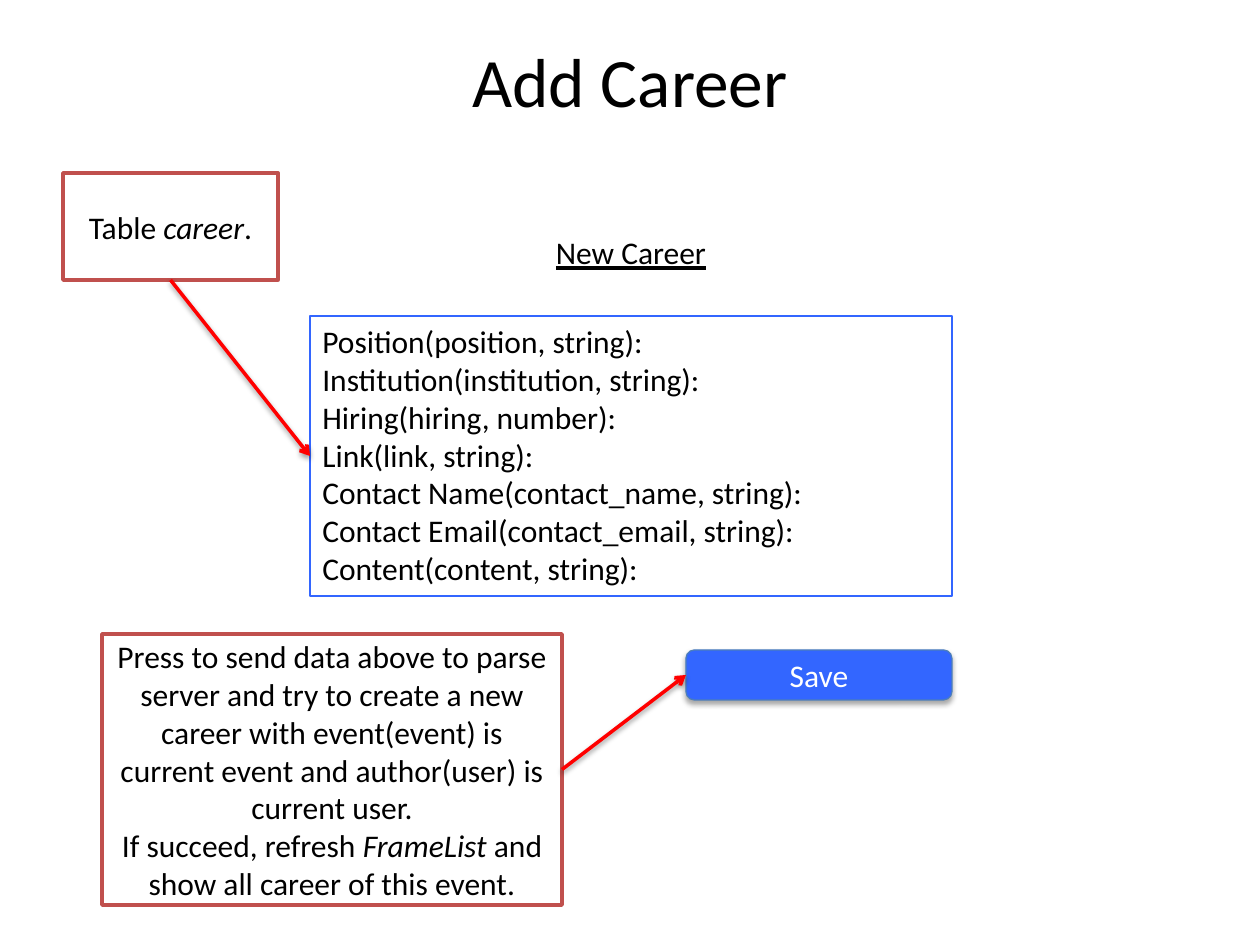
from lxml.etree import SubElement
from pptx import Presentation
from pptx.dml.color import RGBColor
from pptx.enum.shapes import MSO_CONNECTOR as LINK, MSO_SHAPE as SHAPE
from pptx.enum.text import MSO_ANCHOR as ANCHOR, PP_ALIGN as ALIGN
from pptx.oxml.ns import qn
from pptx.util import Emu, Pt

SCALE = 914400 / 126
FONT = "Calibri"
BLACK, WHITE, RED = "000000", "FFFFFF", "FF0000"
BLUE, BLUE_EDGE, NOTE_EDGE = "3366FF", "4B7EBC", "C0504D"
LEFT_SITE, BOTTOM_SITE, RIGHT_SITE = 1, 2, 3

FIELDS = [
    "Position(position, string):",
    "Institution(institution, string):",
    "Hiring(hiring, number):",
    "Link(link, string):",
    "Contact Name(contact_name, string):",
    "Contact Email(contact_email, string):",
    "Content(content, string):",
]
# Each paragraph is a list of (text, style) spans
TABLE_NOTE = [[("Table ", ""), ("career", "italic"), (".", "")]]
SAVE_NOTE = [
    [("Press to send data above to parse server and try to create a new "
      "career with event(event) is current event and author(user) is "
      "current user.", "")],
    [("If succeed, refresh ", ""), ("FrameList", "italic"),
     (" and show all career of this event.", "")],
]


def px(value):
    return Emu(round(value * SCALE))


def color(code):
    return RGBColor.from_string(code)


def write(frame, paras, size=18, ink=BLACK, align=ALIGN.CENTER, anchor=ANCHOR.MIDDLE):
    frame.word_wrap = True
    frame.vertical_anchor = anchor
    for index, spans in enumerate(paras):
        para = frame.add_paragraph() if index else frame.paragraphs[0]
        para.alignment = align
        for text, style in spans:
            span = para.add_run()
            span.text = text
            span.font.name, span.font.size = FONT, Pt(size)
            span.font.color.rgb = color(ink)
            if style:
                setattr(span.font, style, True)


def add_shadow(effects, alpha, distance):
    shadow = SubElement(effects, qn("a:outerShdw"), blurRad=str(Pt(3.1)),
                        dist=str(Pt(distance)), dir="5400000", rotWithShape="0")
    ink = SubElement(shadow, qn("a:srgbClr"), val=BLACK)
    SubElement(ink, qn("a:alpha"), val=str(alpha * 1000))


def add_panel(page, kind, box, fill, edge, width):
    panel = page.shapes.add_shape(kind, *map(px, box))
    panel.shadow.inherit = False
    if fill:
        panel.fill.solid()
        panel.fill.fore_color.rgb = color(fill)
    else:
        panel.fill.background()
    panel.line.color.rgb = color(edge)
    panel.line.width = Pt(width)
    return panel


def add_title(page, box):
    title = page.shapes.title
    title.left, title.top, title.width, title.height = map(px, box)
    write(title.text_frame, [[("Add Career", "")]], size=39.6)


def add_form(page, box):
    """Heading, field list and save button; returns the list and the button."""
    left, top, width, height = box
    # Heading
    heading = page.shapes.add_textbox(*map(px, (left + 76, top, width - 152, 50)))
    write(heading.text_frame, [[("New Career", "underline")]], anchor=ANCHOR.TOP)
    # Field list
    fields = add_panel(page, SHAPE.RECTANGLE, (left, top + 89, width, 280),
                       None, BLUE, 0.75)
    write(fields.text_frame, [[(name, "")] for name in FIELDS],
          align=ALIGN.LEFT, anchor=ANCHOR.TOP)
    # Save button, flush with the lower right corner
    save = add_panel(page, SHAPE.ROUNDED_RECTANGLE,
                     (left + width - 266, top + height - 50, 266, 50),
                     BLUE, BLUE_EDGE, 0.75)
    add_shadow(save.element.spPr.find(qn("a:effectLst")), 35, 1.8)
    write(save.text_frame, [[("Save", "")]], ink=WHITE)
    return fields, save


def add_note(page, box, paras, site, target):
    """Callout with an arrow from one of its sides to the target's left side."""
    note = add_panel(page, SHAPE.FLOWCHART_PROCESS, box, WHITE, NOTE_EDGE, 2)
    write(note.text_frame, paras)
    arrow = page.shapes.add_connector(LINK.STRAIGHT, 0, 0, 0, 0)
    arrow.begin_connect(note, site)
    arrow.end_connect(target, LEFT_SITE)
    arrow.line.color.rgb = color(RED)
    arrow.line.width = Pt(2)
    SubElement(arrow.line._get_or_add_ln(), qn("a:tailEnd"), type="arrow")
    add_shadow(SubElement(arrow._element.spPr, qn("a:effectLst")), 38, 1.6)


def main():
    deck = Presentation()
    deck.slide_width, deck.slide_height = px(1260), px(945)
    page = deck.slides.add_slide(deck.slide_layouts[5])
    add_title(page, (63, 38, 1134, 84))
    fields, save = add_form(page, (310, 227, 642, 473))
    add_note(page, (102, 634, 460, 271), SAVE_NOTE, RIGHT_SITE, save)
    add_note(page, (63, 173, 215, 107), TABLE_NOTE, BOTTOM_SITE, fields)
    deck.save("out.pptx")


if __name__ == "__main__":
    main()
